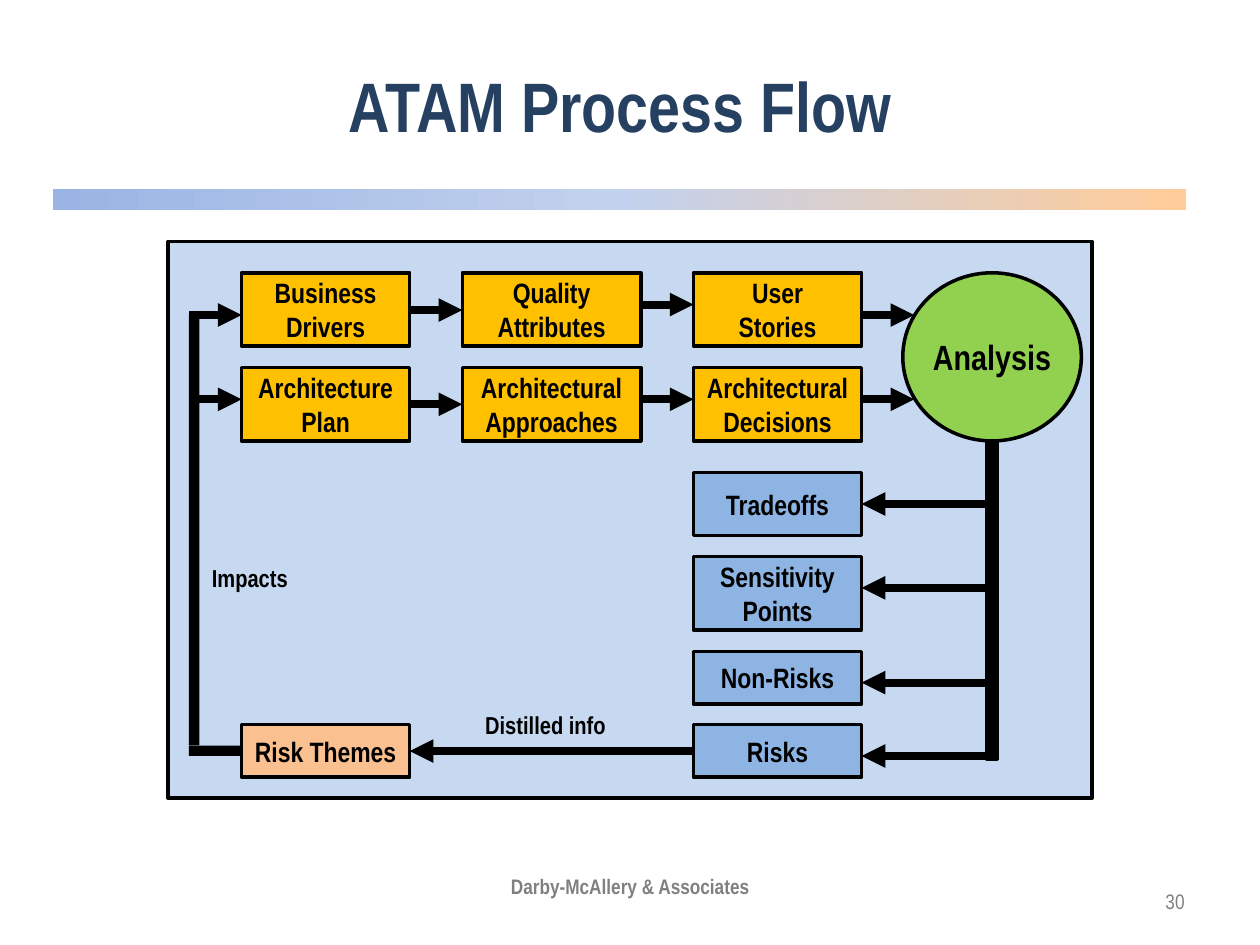
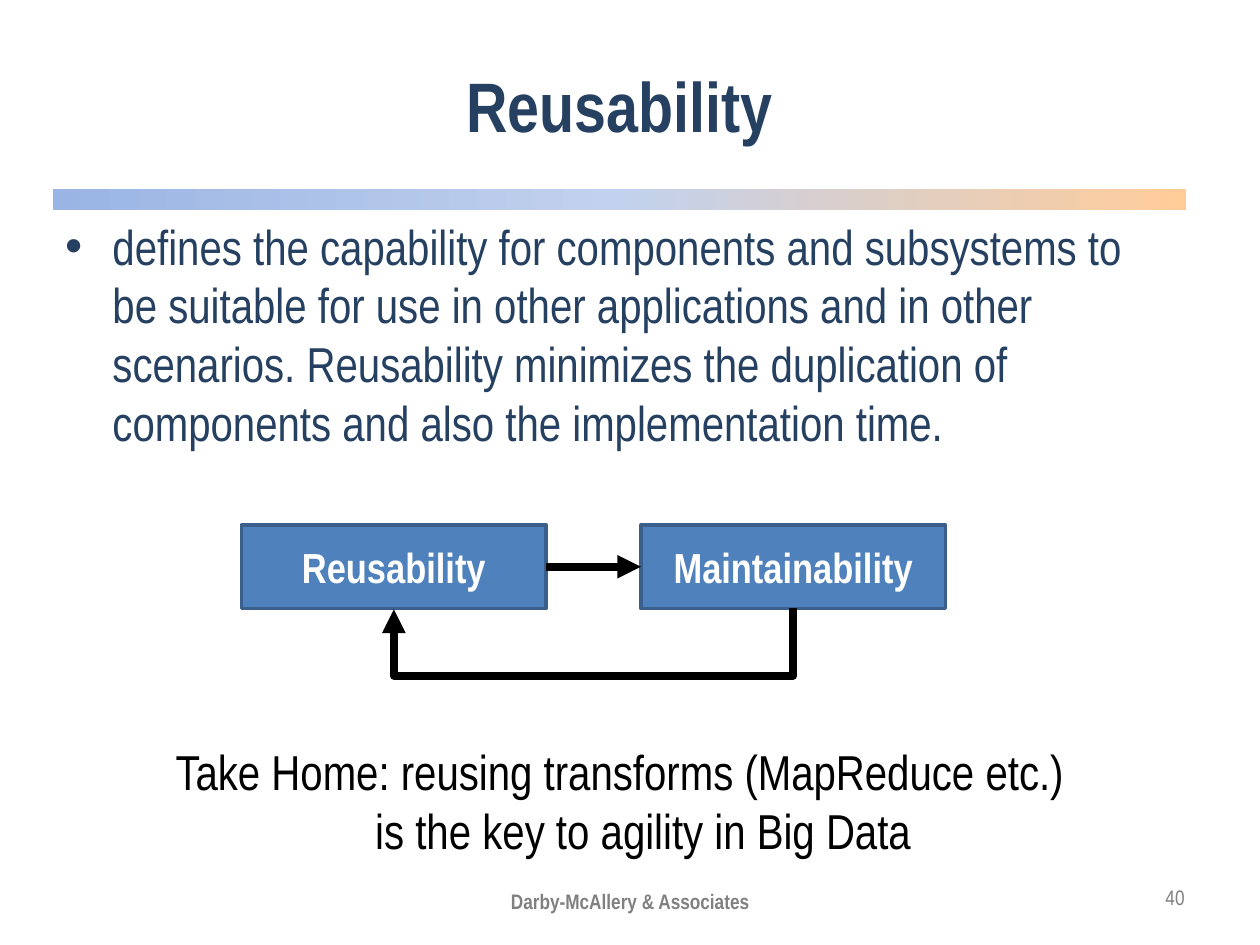
"""Build two slides: the ATAM process flow and the Reusability summary."""
from copy import deepcopy

from lxml.etree import SubElement
from pptx import Presentation
from pptx.dml.color import RGBColor
from pptx.enum.shapes import MSO_CONNECTOR, MSO_SHAPE
from pptx.enum.text import MSO_ANCHOR, MSO_AUTO_SIZE, PP_ALIGN
from pptx.oxml.ns import qn
from pptx.util import Cm, Pt

FONT = "Arial Narrow"
COLORS = {
    "navy": "254061", "grey": "808080", "black": "000000", "white": "FFFFFF",
    "panel": "C6D9F1", "amber": "FFC000", "green": "92D050", "sky": "8EB4E3",
    "peach": "FAC090", "blue": "4F81BD", "blue_edge": "3A5F8C",
    "band_left": "9AB5E4", "band_mid": "C2D1ED", "band_right": "FFCC99",
}
FOOTER = "Darby-McAllery & Associates"
BAND_STOPS = [(0, "band_left"), (0.5, "band_mid"), (1, "band_right")]
TITLE_AT = (1.06, 0.42, 22.86, 3.39)
BAND_AT = (1.06, 3.81, 22.86, 0.42)

FLOW = {
    "title": "ATAM Process Flow",
    "number": ("30", (18.2, 17.65, 5.93, 1.02)),
    "footer_top": 17.36,
    "col_widths": [3.39, 3.6, 3.39],
    "rows": [
        (5.5, ["Business\nDrivers", "Quality\nAttributes", "User\nStories"],
         [6.25, 6.14, 6.35], 6.35),
        (7.41, ["Architecture\nPlan", "Architectural\nApproaches",
                "Architectural\nDecisions"],
         [8.15, 8.05, 8.05], 8.05),
    ],
    "results": [
        ("Tradeoffs", 9.53, 1.27, 10.16),
        ("Sensitivity\nPoints", 11.22, 1.48, 11.85),
        ("Non-Risks", 13.13, 1.06, 13.76),
        ("Risks", 14.61, 1.06, 15.24),
    ],
    "labels": [("Distilled info", (9.53, 14.18, 2.97, 0.86)),
               ("Impacts", (4.02, 11.22, 2.06, 0.86))],
}
REUSE = {
    "title": "Reusability",
    "number": ("40", (22.65, 17.57, 1.48, 1.02)),
    "footer_top": 17.65,
    "body": "defines the capability for components and subsystems to be "
            "suitable for use in other applications and in other scenarios. "
            "Reusability minimizes the duplication of components and also "
            "the implementation time.",
    "boxes": ["Reusability", "Maintainability"],
    "take_home": "Take Home: reusing transforms (MapReduce etc.) is the key "
                 "to agility in Big Data",
}


def rgb(name):
    return RGBColor.from_string(COLORS[name])


def place(sp, at):
    sp.left, sp.top, sp.width, sp.height = map(Cm, at)


def write(tf, text, size, color, bold=False, align=None):
    tf.text = text
    for p in tf.paragraphs:
        p.font.name, p.font.size, p.font.bold = FONT, Pt(size), bold
        p.font.color.rgb = rgb(color)
        if align is not None:
            p.alignment = align


def add_text(s, at, text, size, color, bold=False, align=PP_ALIGN.LEFT,
             wrap=True, anchor=MSO_ANCHOR.MIDDLE):
    tf = s.shapes.add_textbox(*map(Cm, at)).text_frame
    tf.word_wrap, tf.vertical_anchor = wrap, anchor
    write(tf, text, size, color, bold, align)
    return tf


def add_box(s, at, fill, text="", size=16, color="black", line="black",
            kind=MSO_SHAPE.RECTANGLE):
    sp = s.shapes.add_shape(kind, *map(Cm, at))
    sp.shadow.inherit = False
    sp.fill.solid()
    sp.fill.fore_color.rgb = rgb(fill)
    if line:
        sp.line.color.rgb, sp.line.width = rgb(line), Pt(2)
    else:
        sp.line.fill.background()
    if text:
        tf = sp.text_frame
        tf.margin_left = tf.margin_right = 0
        tf.vertical_anchor = MSO_ANCHOR.MIDDLE
        write(tf, text, size, color, True, PP_ALIGN.CENTER)
    return sp


def add_arrow(s, x1, y1, x2, y2, kind=MSO_CONNECTOR.STRAIGHT):
    sp = s.shapes.add_connector(kind, *map(Cm, (x1, y1, x2, y2)))
    sp.line.color.rgb, sp.line.width = rgb("black"), Pt(4.5)
    SubElement(sp.line._get_or_add_ln(), qn("a:tailEnd"), type="triangle")
    SubElement(sp._element.spPr, qn("a:effectLst"))
    return sp


def add_return_arrow(s, x1, x2, y, drop):
    """Run down from x1, across, and back up to x2 at the same height."""
    thin, mid, half = 0.03, (x1 + x2) / 2, (x1 - x2) / 2
    sp = add_arrow(s, mid - thin / 2, y - half, mid + thin / 2, y + half,
                   MSO_CONNECTOR.ELBOW)
    spPr = sp._element.spPr
    spPr.find(qn("a:xfrm")).set("rot", "5400000")
    SubElement(spPr.find(qn("a:prstGeom")).find(qn("a:avLst")), qn("a:gd"),
               name="adj1", fmla=f"val {round(drop / thin * 100000)}")


def add_band(s):
    sp = s.shapes.add_shape(MSO_SHAPE.RECTANGLE, *map(Cm, BAND_AT))
    sp.shadow.inherit = False
    sp.line.fill.background()
    sp.fill.gradient()
    sp.fill.gradient_angle = 0
    stops = sp._element.spPr.find(".//" + qn("a:gsLst"))
    stops.insert(1, deepcopy(stops[0]))
    for stop, (pos, color) in zip(sp.fill.gradient_stops, BAND_STOPS):
        stop.position, stop.color.rgb = pos, rgb(color)


def start_slide(prs, layout, content):
    s = prs.slides.add_slide(prs.slide_layouts[layout])
    add_band(s)
    place(s.shapes.title, TITLE_AT)
    tf = s.shapes.title.text_frame
    tf.auto_size, tf.vertical_anchor = MSO_AUTO_SIZE.NONE, MSO_ANCHOR.MIDDLE
    write(tf, content["title"], 40, "navy", True, PP_ALIGN.CENTER)
    number, at = content["number"]
    add_text(s, at, number, 12, "grey", align=PP_ALIGN.RIGHT)
    add_text(s, (8.68, content["footer_top"], 8.05, 1.02), FOOTER, 12, "grey",
             True, PP_ALIGN.CENTER)
    return s


def build_flow(prs):
    s = start_slide(prs, 5, FLOW)
    left, gap, box_h, rail = 4.87, 1.06, 1.48, 3.81
    widths = FLOW["col_widths"]
    xs = [left + sum(widths[:i]) + gap * i for i in range(len(widths))]
    add_box(s, (3.39, 4.87, 18.63, 11.22), "panel")
    add_box(s, (18.2, 5.5, 3.6, 3.39), "green", "Analysis", 20,
            kind=MSO_SHAPE.OVAL)
    for top, names, arrow_ys, feedback_y in FLOW["rows"]:
        for x, w, name, y in zip(xs, widths, names, arrow_ys):
            add_box(s, (x, top, w, box_h), "amber", name)
            add_arrow(s, x + w, y, x + w + gap, y)
        add_arrow(s, rail, feedback_y, left, feedback_y)

    bus, result_x, w = 19.9, xs[-1], widths[-1]
    add_box(s, (bus, 8.89, 0.21, 6.42), "black")
    for name, top, h, y in FLOW["results"]:
        add_box(s, (result_x, top, w, h), "sky", name)
        add_arrow(s, bus, y, result_x + w, y)

    add_box(s, (left, 14.61, w, 1.06), "peach", "Risk Themes")
    add_arrow(s, result_x, 15.14, left + w, 15.14)
    add_box(s, (rail, 6.35, 0.21, 8.68), "black", line=None)
    add_box(s, (rail, 15.03, gap, 0.21), "black", line=None)
    for text, at in FLOW["labels"]:
        add_text(s, at, text, 14, "black", True, wrap=False,
                 anchor=MSO_ANCHOR.TOP)


def build_reuse(prs):
    s = start_slide(prs, 1, REUSE)
    body = s.placeholders[1]
    place(body, (1.06, 4.23, 22.86, 13.34))
    body.text_frame.auto_size = MSO_AUTO_SIZE.NONE
    write(body.text_frame, REUSE["body"], 28, "navy")

    left, top, w, h, gap = 4.87, 10.58, 6.14, 1.69, 1.91
    for i, name in enumerate(REUSE["boxes"]):
        add_box(s, (left + i * (w + gap), top, w, h), "blue", name, 24,
                "white", "blue_edge")
    add_arrow(s, left + w, top + h / 2, left + w + gap, top + h / 2)
    add_return_arrow(s, left + w * 1.5 + gap, left + w / 2, top + h, 1.37)

    tf = add_text(s, (2.96, 14.82, 19.05, 2.64), REUSE["take_home"], 28,
                  "black", align=PP_ALIGN.CENTER)
    p = tf.paragraphs[0]
    p.space_before = Pt(5.6)
    pPr = p._p.get_or_add_pPr()
    pPr.set("marL", str(Cm(0.95)))
    pPr.set("indent", str(-Cm(0.95)))


def main():
    prs = Presentation()
    prs.slide_width, prs.slide_height = Cm(25.4), Cm(19.05)
    build_flow(prs)
    build_reuse(prs)
    prs.save("out.pptx")


if __name__ == "__main__":
    main()
